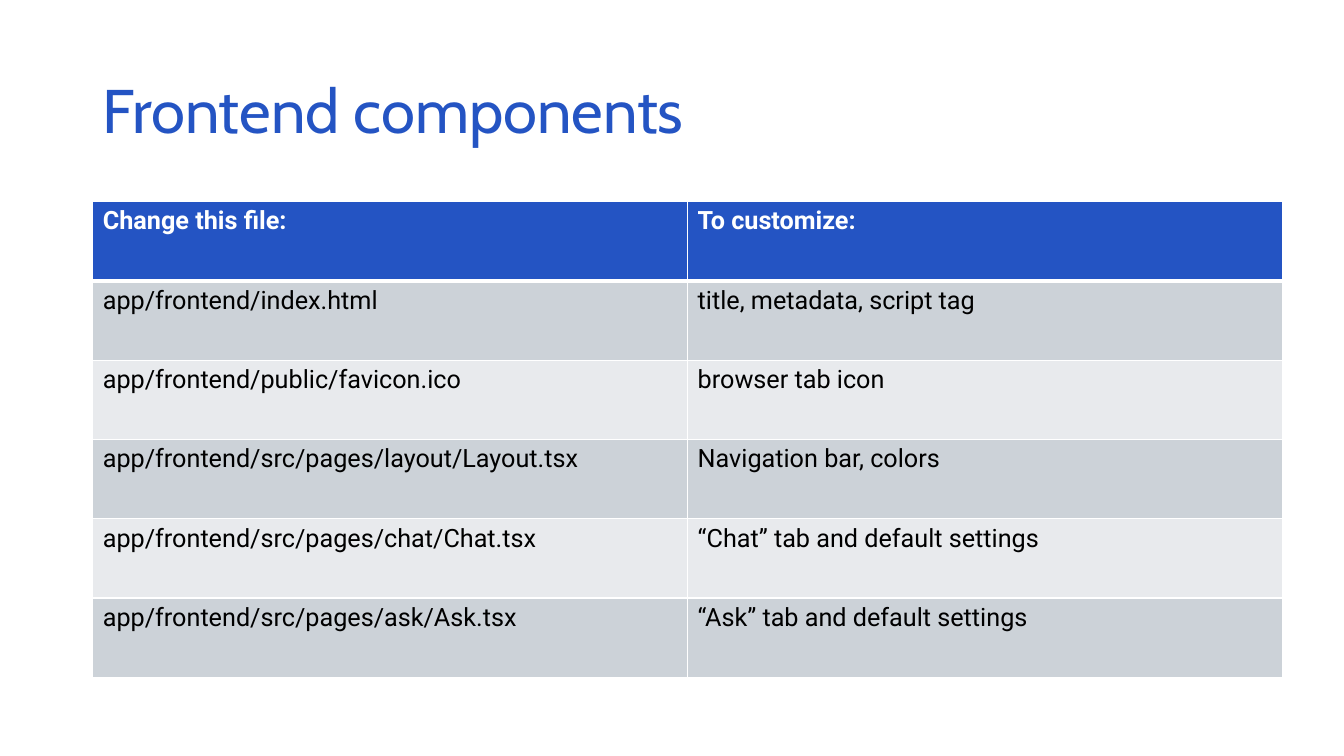
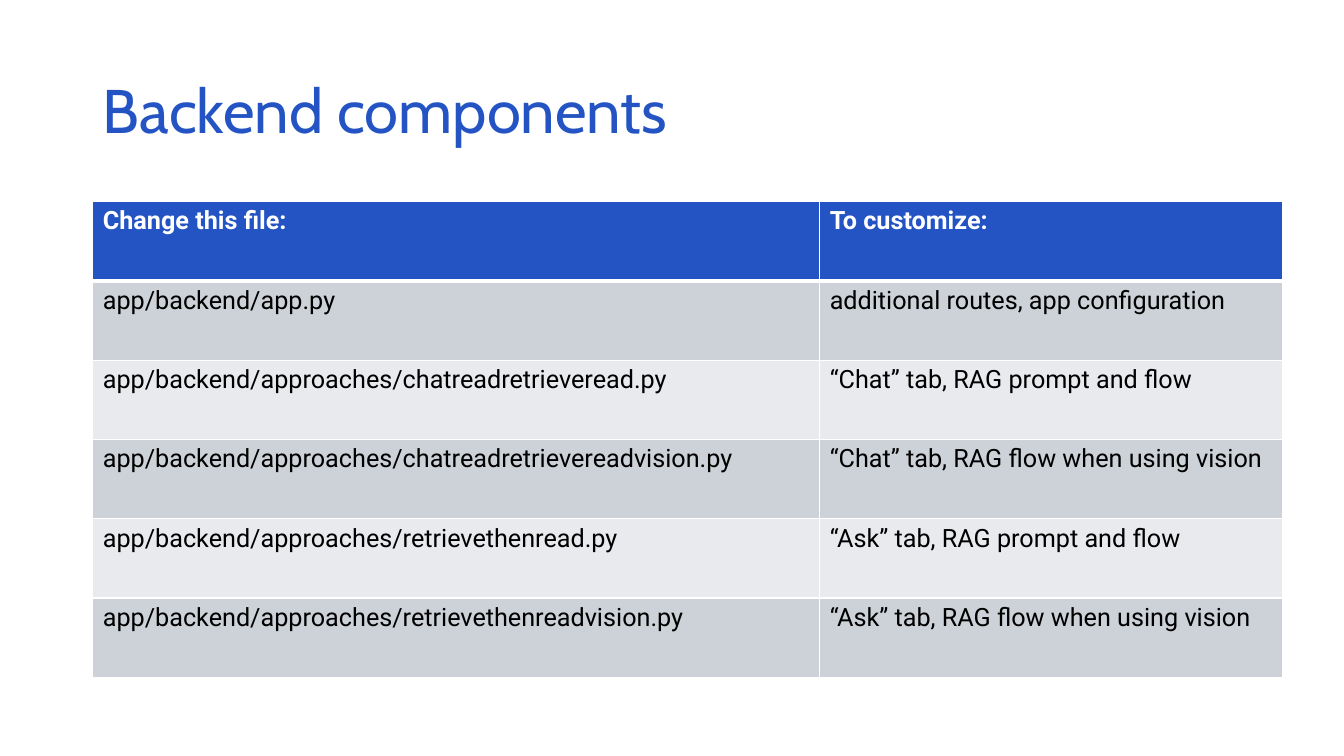
import dataclasses

import lxml.etree
import pptx
import pptx.dml.color
import pptx.enum.text
import pptx.oxml.ns
import pptx.util
from pptx.util import Inches


@dataclasses.dataclass(frozen=True)
class Theme:
    blue: str = "2454C3"
    white: str = "FFFFFF"
    black: str = "000000"
    bands: tuple = ("CCD2D8", "E8EAED")
    title_font: str = "Cabin"
    body_font: str = "Roboto"
    title_size: int = 44
    body_size: int = 18
    border: int = 1
    header_rule: int = 3


@dataclasses.dataclass(frozen=True)
class Box:
    left: float
    top: float
    width: float
    height: float

    def lengths(self):
        return [Inches(value) for value in dataclasses.astuple(self)]


THEME = Theme()
TITLE_BOX = Box(0.92, 0.4, 11.5, 1.45)
TABLE_BOX = Box(0.92, 2, 11.8, 4.72)
HEADINGS = ("Change this file:", "To customize:")

FRONTEND_FILES = (
    ("app/frontend/index.html", "title, metadata, script tag"),
    ("app/frontend/public/favicon.ico", "browser tab icon"),
    ("app/frontend/src/pages/layout/Layout.tsx", "Navigation bar, colors"),
    ("app/frontend/src/pages/chat/Chat.tsx", "“Chat” tab and default settings"),
    ("app/frontend/src/pages/ask/Ask.tsx", "“Ask” tab and default settings"),
)
BACKEND_FILES = (
    ("app/backend/app.py", "additional routes, app configuration"),
    ("app/backend/approaches/chatreadretrieveread.py", "“Chat” tab, RAG prompt and flow"),
    ("app/backend/approaches/chatreadretrievereadvision.py", "“Chat” tab, RAG flow when using vision"),
    ("app/backend/approaches/retrievethenread.py", "“Ask” tab, RAG prompt and flow"),
    ("app/backend/approaches/retrievethenreadvision.py", "“Ask” tab, RAG flow when using vision"),
)


def rgb(value):
    return pptx.dml.color.RGBColor.from_string(value)


def add_run(paragraph, text, font, size, color, bold=False):
    run = paragraph.add_run()
    run.text = text
    run.font.name = font
    run.font.size = pptx.util.Pt(size)
    run.font.color.rgb = rgb(color)
    run.font.bold = bold


def add_title(slide, box, text):
    shape = slide.shapes.add_textbox(*box.lengths())
    frame = shape.text_frame
    frame.word_wrap = True
    frame.vertical_anchor = pptx.enum.text.MSO_ANCHOR.MIDDLE
    paragraph = frame.paragraphs[0]
    paragraph.line_spacing = 0.9
    add_run(paragraph, text, THEME.title_font, THEME.title_size, THEME.blue)


def set_borders(cell, widths):
    """Draw white borders; widths gives points for left, right, top, bottom."""
    qn = pptx.oxml.ns.qn
    properties = cell._tc.get_or_add_tcPr()
    for side, width in zip("LRTB", widths):
        line = lxml.etree.SubElement(
            properties, qn(f"a:ln{side}"), w=str(pptx.util.Pt(width)))
        fill = lxml.etree.SubElement(line, qn("a:solidFill"))
        lxml.etree.SubElement(fill, qn("a:srgbClr"), val=THEME.white)


def fill_cell(cell, text, row_index):
    is_header = row_index == 0
    thin, thick = THEME.border, THEME.header_rule
    top = thick if row_index == 1 else thin
    bottom = thick if is_header else thin
    set_borders(cell, (thin, thin, top, bottom))
    cell.fill.solid()
    cell.fill.fore_color.rgb = rgb(
        THEME.blue if is_header else THEME.bands[(row_index - 1) % 2])
    add_run(cell.text_frame.paragraphs[0], text, THEME.body_font, THEME.body_size,
            THEME.white if is_header else THEME.black, is_header)


def add_file_table(slide, box, files, first_width):
    rows = (HEADINGS, *files)
    table = slide.shapes.add_table(len(rows), len(HEADINGS), *box.lengths()).table
    for column, width in zip(table.columns, (first_width, box.width - first_width)):
        column.width = Inches(width)
    for row_index, texts in enumerate(rows):
        table.rows[row_index].height = Inches(box.height / len(rows))
        for column_index, text in enumerate(texts):
            fill_cell(table.cell(row_index, column_index), text, row_index)


def add_component_slide(presentation, title, files, first_width):
    slide = presentation.slides.add_slide(presentation.slide_layouts[6])
    slide.background.fill.solid()
    slide.background.fill.fore_color.rgb = rgb(THEME.white)
    add_title(slide, TITLE_BOX, title)
    add_file_table(slide, TABLE_BOX, files, first_width)


def main():
    presentation = pptx.Presentation()
    presentation.slide_width = Inches(13.33)
    presentation.slide_height = Inches(7.5)
    add_component_slide(presentation, "Frontend components", FRONTEND_FILES, 5.9)
    add_component_slide(presentation, "Backend components", BACKEND_FILES, 7.21)
    presentation.save("out.pptx")


if __name__ == "__main__":
    main()
